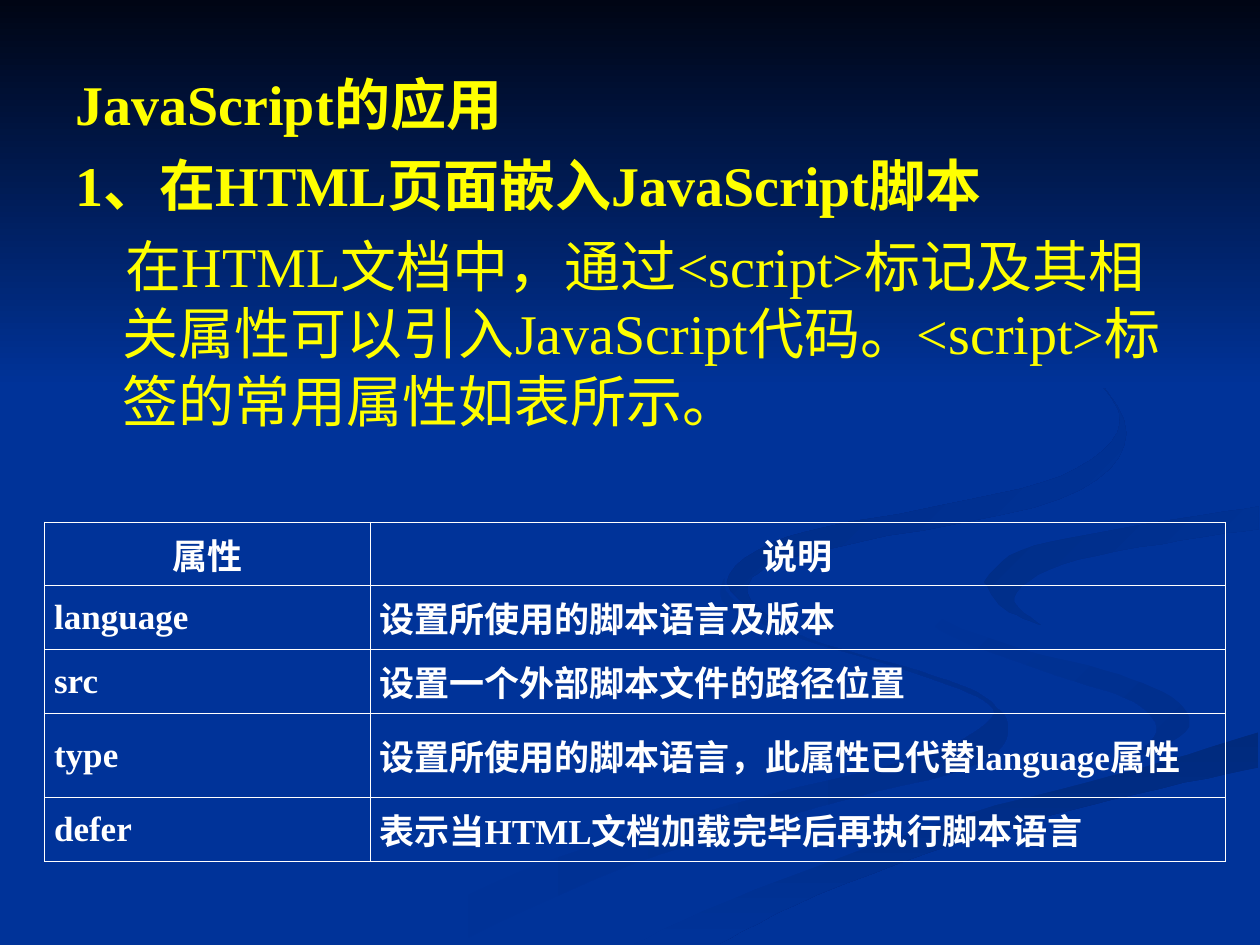
from itertools import chain

from lxml import etree
from pptx import Presentation, util as u
from pptx.dml.color import RGBColor
from pptx.enum import shapes, text as t
from pptx.oxml import ns

GRID = 100        # freeform units per inch
CURVE_STEPS = 6   # straight pieces between two neighbouring knots

# Points where two edges meet, in inches
SWIRL_START, SWIRL_END = (7.62, 2.33), (6.22, 5)
STEM_TIP = (5.75, 4.59)
CURL_TIP, CURL_END = (7.24, 4.64), (8.94, 6.05)
HOOK_TIP, HOOK_END = (7.81, 4.62), (8.26, 4.96)

# Knots of each edge; every edge becomes one smooth curve
SWIRL_OUTER = [SWIRL_START, (8.43, 2.75), (8.94, 3.44), (8.41, 3.96), (6.83, 4.3),
               (6.14, 4.48), (5.93, 4.7), SWIRL_END]
SWIRL_INNER = [SWIRL_START, (8.46, 2.79), (8.89, 3.35), (8.42, 3.78), (7.33, 4.04),
               (6.25, 4.26), (5.77, 4.62), SWIRL_END]
STEM_OUTER = [STEM_TIP, (5.83, 4.77), (6.42, 5.07), (7.31, 5.33), (7.81, 5.53),
              (8, 5.81), (7.69, 6.09), (6.51, 6.4), (4.99, 6.87), (3.61, 7.49)]
STEM_INNER = [STEM_TIP, (5.76, 4.8), (6.31, 5.05), (7.28, 5.35), (7.81, 5.56),
              (7.83, 5.74), (7.27, 6.02), (5.79, 6.39), (4.17, 6.9), (3, 7.49)]
CURL_OUTER = [CURL_TIP, (7.45, 4.9), (8.11, 5.15), (8.88, 5.35), (9.35, 5.57),
              (9.41, 5.81), CURL_END]
CURL_INNER = [CURL_TIP, (7.46, 5), (8.38, 5.36), (9, 5.57), (9.18, 5.81), CURL_END]
CURVE_ENTRY = [(9.99, 3.87), (9.2, 4.01), (8.08, 4.17), (7.42, 4.39), CURL_TIP]
CURVE_EXIT = [CURL_END, (8.13, 6.25), (6.63, 6.68), (4.77, 7.49)]
SWEEP_TOP = [(5.03, 7.49), (5.99, 7.06), (7.65, 6.47), (9.04, 6.1), (9.99, 5.81)]
SWEEP_BOTTOM = [(5.71, 7.49), (6.49, 7.1), (7.85, 6.61), (9.03, 6.3), (9.99, 6.09)]
CURVE_RETURN = [(9.99, 5.38), (9.04, 5.19), (8.17, 4.92), HOOK_TIP]
HOOK_OUTER = [HOOK_TIP, (8.1, 4.37), (8.98, 4.18), (9.99, 4.02)]
HOOK_UNDERSIDE = [HOOK_TIP, (7.97, 4.83), HOOK_END]
HOOK_INNER = [HOOK_END, (8.05, 4.74), (8.43, 4.48), (9.36, 4.29), (9.99, 4.2)]

BASE, ACCENT, LIGHT = "003399", "FFFF00", "FFFFFF"
FONT = "Times New Roman"

# Edges in drawing order, start colour, end colour, clockwise angle
RIBBONS = [
    ([STEM_OUTER, STEM_INNER[::-1]], BASE, "002E8B", 0),
    ([CURL_OUTER, CURL_INNER[::-1]], BASE, "002E8B", 45),
    ([SWEEP_TOP, SWEEP_BOTTOM[::-1]], "002A7D", BASE, 90),
    ([CURVE_ENTRY, CURL_OUTER, CURVE_EXIT, SWEEP_TOP, CURVE_RETURN, HOOK_OUTER],
     BASE, BASE, 0),
    ([HOOK_OUTER[::-1], HOOK_UNDERSIDE, HOOK_INNER], "002D86", BASE, 45),
    ([SWIRL_OUTER, SWIRL_INNER[::-1]], "002B82", BASE, 45),
]

# Text, bold, first-line indent in cm
LESSON = [
    ("JavaScript的应用", True, -0.95),
    ("1、在HTML页面嵌入JavaScript脚本", True, -0.95),
    ("在HTML文档中，通过<script>标记及其相关属性可以引入JavaScript代码。"
     "<script>标签的常用属性如表所示。", False, 0.06),
]

ATTRIBUTES = [
    ("属性", "说明"),
    ("language", "设置所使用的脚本语言及版本"),
    ("src", "设置一个外部脚本文件的路径位置"),
    ("type", "设置所使用的脚本语言，此属性已代替language属性"),
    ("defer", "表示当HTML文档加载完毕后再执行脚本语言"),
]


def rgb(value):
    return RGBColor.from_string(value)


def smooth(knots):
    """Return grid points of a Catmull-Rom curve through the knots."""
    padded = [knots[0], *knots, knots[-1]]
    curve = []
    for before, start, end, after in zip(padded, padded[1:], padded[2:], padded[3:]):
        for step in range(CURVE_STEPS):
            f = step / CURVE_STEPS
            curve.append(tuple(
                round(GRID / 2 * (2 * s + (e - b) * f + (2 * b - 5 * s + 4 * e - a) * f ** 2
                                  + (3 * s - b - 3 * e + a) * f ** 3))
                for b, s, e, a in zip(before, start, end, after)))
    return curve + [tuple(round(GRID * value) for value in knots[-1])]


def write(paragraph, content, *, size, color, bold=True, align=None):
    run = paragraph.add_run()
    run.text = content
    run.font.size = u.Pt(size)
    run.font.name = FONT
    run.font.bold = bold
    run.font.color.rgb = rgb(color)
    paragraph.alignment = align


class LessonSlide:
    def __init__(self, deck):
        self.slide = deck.slides.add_slide(deck.slide_layouts[1])
        title = self.slide.shapes.title.element
        title.getparent().remove(title)
        background = self.slide.background.fill
        background.solid()
        background.fore_color.rgb = rgb(BASE)

    def shade(self, shape, start, end, angle):
        """Give a backdrop shape a two-colour gradient and no line or shadow."""
        shape.shadow.inherit = False
        shape.line.fill.background()
        shape.fill.gradient()
        shape.fill.gradient_angle = (360 - angle) % 360
        for stop, color, position in zip(shape.fill.gradient_stops, (start, end), (0, 1)):
            stop.color.rgb = rgb(color)
            stop.position = position

    def ribbon(self, edges, start, end, angle):
        first, *others = chain.from_iterable(map(smooth, edges))
        builder = self.slide.shapes.build_freeform(*first, scale=u.Cm(2.54) / GRID)
        builder.add_line_segments(others, close=True)
        self.shade(builder.convert_to_shape(), start, end, angle)

    def band(self, width, height, start, end):
        band = self.slide.shapes.add_shape(
            shapes.MSO_SHAPE.RECTANGLE, 0, 0, u.Cm(width), u.Cm(height))
        self.shade(band, start, end, 90)

    def body(self, entries, left, top, width, height):
        """Fill the body placeholder and bring it in front of the backdrop."""
        body = self.slide.placeholders[1]
        body.left, body.top, body.width, body.height = map(u.Cm, (left, top, width, height))
        self.slide.shapes.element.append(body.element)
        frame = body.text_frame
        for index, (content, bold, indent) in enumerate(entries):
            paragraph = frame.add_paragraph() if index else frame.paragraphs[0]
            properties = paragraph._p.get_or_add_pPr()
            properties.set("marL", str(u.Cm(0.95)))
            properties.set("indent", str(u.Cm(indent)))
            etree.SubElement(properties, ns.qn("a:buNone"))
            paragraph.space_before = u.Pt(8 if index else 0)
            write(paragraph, content, size=32, color=ACCENT, bold=bold)

    def borders(self, cell, width):
        properties = cell._tc.get_or_add_tcPr()
        for side in ("lnL", "lnR", "lnT", "lnB"):
            line = etree.SubElement(properties, ns.qn(f"a:{side}"), w=str(u.Pt(width)))
            fill = etree.SubElement(line, ns.qn("a:solidFill"))
            etree.SubElement(fill, ns.qn("a:srgbClr"), val=LIGHT)

    def table(self, rows, left, top, widths, heights):
        table = self.slide.shapes.add_table(
            len(rows), len(widths), u.Cm(left), u.Cm(top),
            u.Cm(sum(widths)), u.Cm(sum(heights))).table
        table.first_row = table.horz_banding = False
        for column, width in zip(table.columns, widths):
            column.width = u.Cm(width)
        for r, (row, height) in enumerate(zip(rows, heights)):
            table.rows[r].height = u.Cm(height)
            align = t.PP_ALIGN.JUSTIFY if r else t.PP_ALIGN.CENTER
            for c, content in enumerate(row):
                cell = table.cell(r, c)
                self.borders(cell, 0.45)
                cell.fill.background()
                cell.vertical_anchor = t.MSO_ANCHOR.MIDDLE
                cell.margin_left = cell.margin_right = u.Cm(0.19)
                cell.margin_top = cell.margin_bottom = u.Cm(0.13)
                write(cell.text_frame.paragraphs[0], content,
                      size=20, color=LIGHT, align=align)


def main():
    deck = Presentation()
    deck.slide_width, deck.slide_height = u.Cm(25.4), u.Cm(19.05)
    lesson = LessonSlide(deck)
    for ribbon in RIBBONS:
        lesson.ribbon(*ribbon)
    lesson.band(25.4, 7.82, "000514", BASE)
    lesson.body(LESSON, 1.27, 1.27, 22.86, 15.75)
    lesson.table(ATTRIBUTES, 0.9, 10.52, widths=(6.56, 17.24),
                 heights=(0.84, 0.84, 0.84, 1.7, 0.84))
    deck.save("out.pptx")


if __name__ == "__main__":
    main()
